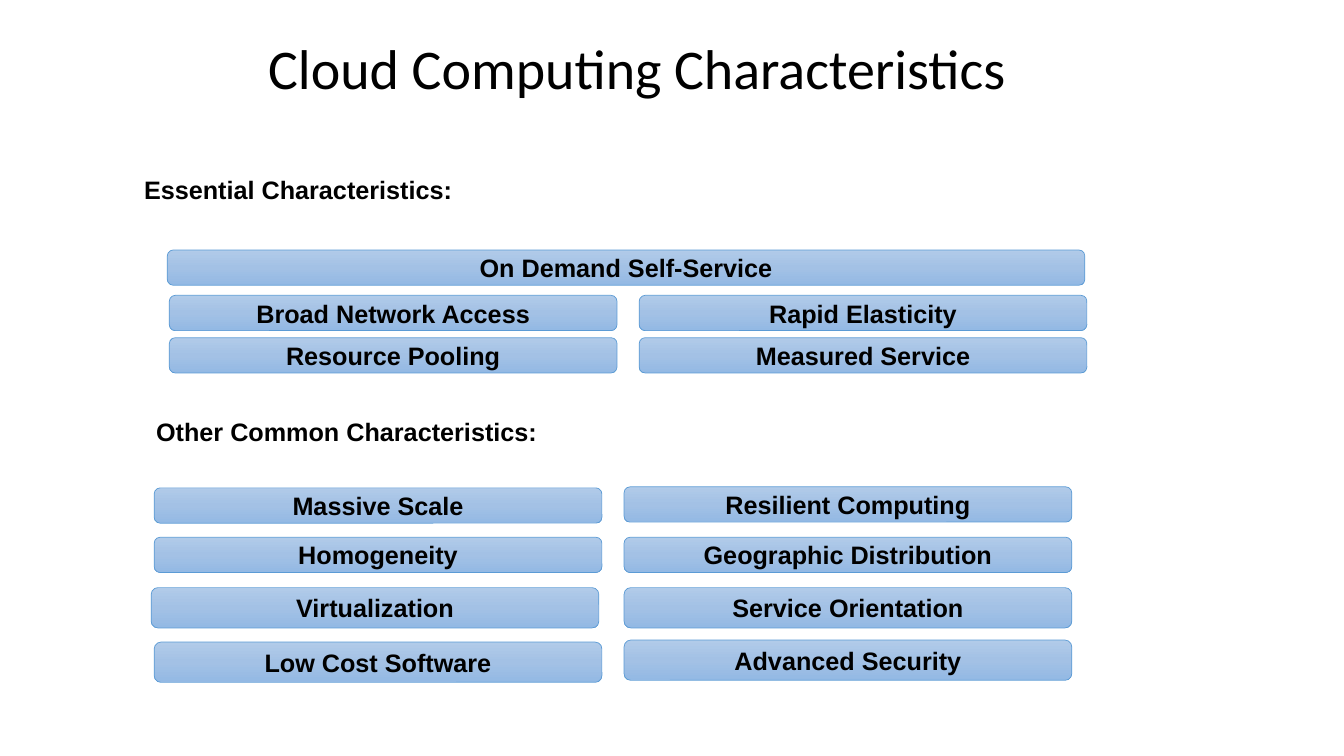
import copy
from dataclasses import dataclass

import pptx
import pptx.dml.color
import pptx.enum.shapes
import pptx.enum.text
import pptx.oxml.ns
import pptx.slide
import pptx.text.text
import pptx.util

EMU_PER_PX = 9144


@dataclass(frozen=True)
class Theme:
    ink: str = "000000"
    outline: str = "5B9BD5"
    gradient: tuple[str, ...] = ("B1CBE9", "A3C1E5", "93B9E4")
    outline_width: float = 0.5
    title_font: str = "Calibri"
    body_font: str = "Arial"
    title_size: int = 40
    body_size: int = 18


@dataclass(frozen=True)
class Heading:
    label: str
    left: int
    top: int
    width: int
    height: int = 40


@dataclass(frozen=True)
class Trait:
    label: str
    left: int
    top: int
    width: int = 444
    height: int = 35


THEME = Theme()
TITLE = Heading("Cloud Computing Characteristics", 256, 8, 1056, 125)
HEADINGS = (
    Heading("Essential Characteristics:", 133, 168, 329),
    Heading("Other Common Characteristics:", 145, 408, 402),
)
ESSENTIAL_GRID = (
    ("Broad Network Access", "Rapid Elasticity"),
    ("Resource Pooling", "Measured Service"),
)
ESSENTIAL_TRAITS = (
    Trait("On Demand Self-Service", 166, 248, 910),
    *(
        Trait(label, 168 + 466 * column, 293 + 42 * row)
        for row, labels in enumerate(ESSENTIAL_GRID)
        for column, label in enumerate(labels)
    ),
)
COMMON_LEFT, COMMON_RIGHT = 153, 619
COMMON_TRAITS = (
    Trait("Massive Scale", COMMON_LEFT, 484),
    Trait("Resilient Computing", COMMON_RIGHT, 483),
    Trait("Homogeneity", COMMON_LEFT, 533),
    Trait("Geographic Distribution", COMMON_RIGHT, 533),
    Trait("Virtualization", 150, 583, height=40),
    Trait("Service Orientation", COMMON_RIGHT, 583, height=40),
    Trait("Low Cost Software", COMMON_LEFT, 637, height=40),
    Trait("Advanced Security", COMMON_RIGHT, 635, height=40),
)


def px(length: int) -> pptx.util.Emu:
    return pptx.util.Emu(length * EMU_PER_PX)


def bounds(part: Heading | Trait) -> tuple[pptx.util.Emu, ...]:
    return px(part.left), px(part.top), px(part.width), px(part.height)


def rgb(colour: str) -> pptx.dml.color.RGBColor:
    return pptx.dml.color.RGBColor.from_string(colour)


def write(
    frame: pptx.text.text.TextFrame,
    label: str,
    font_name: str,
    size: int,
    bold: bool,
    align: pptx.enum.text.PP_ALIGN,
) -> None:
    frame.text = label
    paragraph = frame.paragraphs[0]
    paragraph.alignment = align
    paragraph.font.name = font_name
    paragraph.font.size = pptx.util.Pt(size)
    paragraph.font.bold = bold
    paragraph.font.color.rgb = rgb(THEME.ink)


def draw_title(slide: pptx.slide.Slide) -> None:
    title = slide.shapes.title
    title.left, title.top, title.width, title.height = bounds(TITLE)
    frame = title.text_frame
    frame.vertical_anchor = pptx.enum.text.MSO_ANCHOR.MIDDLE
    frame.auto_size = pptx.enum.text.MSO_AUTO_SIZE.NONE
    write(frame, TITLE.label, THEME.title_font, THEME.title_size, False, pptx.enum.text.PP_ALIGN.LEFT)
    frame.paragraphs[0].line_spacing = 0.9


def draw_heading(slide: pptx.slide.Slide, heading: Heading) -> None:
    frame = slide.shapes.add_textbox(*bounds(heading)).text_frame
    frame.word_wrap = False
    frame.auto_size = pptx.enum.text.MSO_AUTO_SIZE.SHAPE_TO_FIT_TEXT
    write(frame, heading.label, THEME.body_font, THEME.body_size, True, pptx.enum.text.PP_ALIGN.LEFT)


def draw_trait(slide: pptx.slide.Slide, trait: Trait) -> None:
    bar = slide.shapes.add_shape(pptx.enum.shapes.MSO_SHAPE.ROUNDED_RECTANGLE, *bounds(trait))
    bar.shadow.inherit = False
    bar.fill.gradient()
    bar.fill.gradient_angle = 270
    stop_list = bar.element.spPr.find(".//" + pptx.oxml.ns.qn("a:gsLst"))
    stop_list.insert(1, copy.deepcopy(stop_list[0]))
    for index, (stop, colour) in enumerate(zip(bar.fill.gradient_stops, THEME.gradient)):
        stop.position = index / 2
        stop.color.rgb = rgb(colour)
    bar.line.color.rgb = rgb(THEME.outline)
    bar.line.width = pptx.util.Pt(THEME.outline_width)
    frame = bar.text_frame
    frame.vertical_anchor = pptx.enum.text.MSO_ANCHOR.MIDDLE
    write(frame, trait.label, THEME.body_font, THEME.body_size, True, pptx.enum.text.PP_ALIGN.CENTER)


def main() -> None:
    presentation = pptx.Presentation()
    presentation.slide_width = px(1333)
    presentation.slide_height = px(750)
    slide = presentation.slides.add_slide(presentation.slide_layouts[5])
    draw_title(slide)
    for heading, traits in zip(HEADINGS, (ESSENTIAL_TRAITS, COMMON_TRAITS)):
        draw_heading(slide, heading)
        for trait in traits:
            draw_trait(slide, trait)
    presentation.save("out.pptx")


if __name__ == "__main__":
    main()
